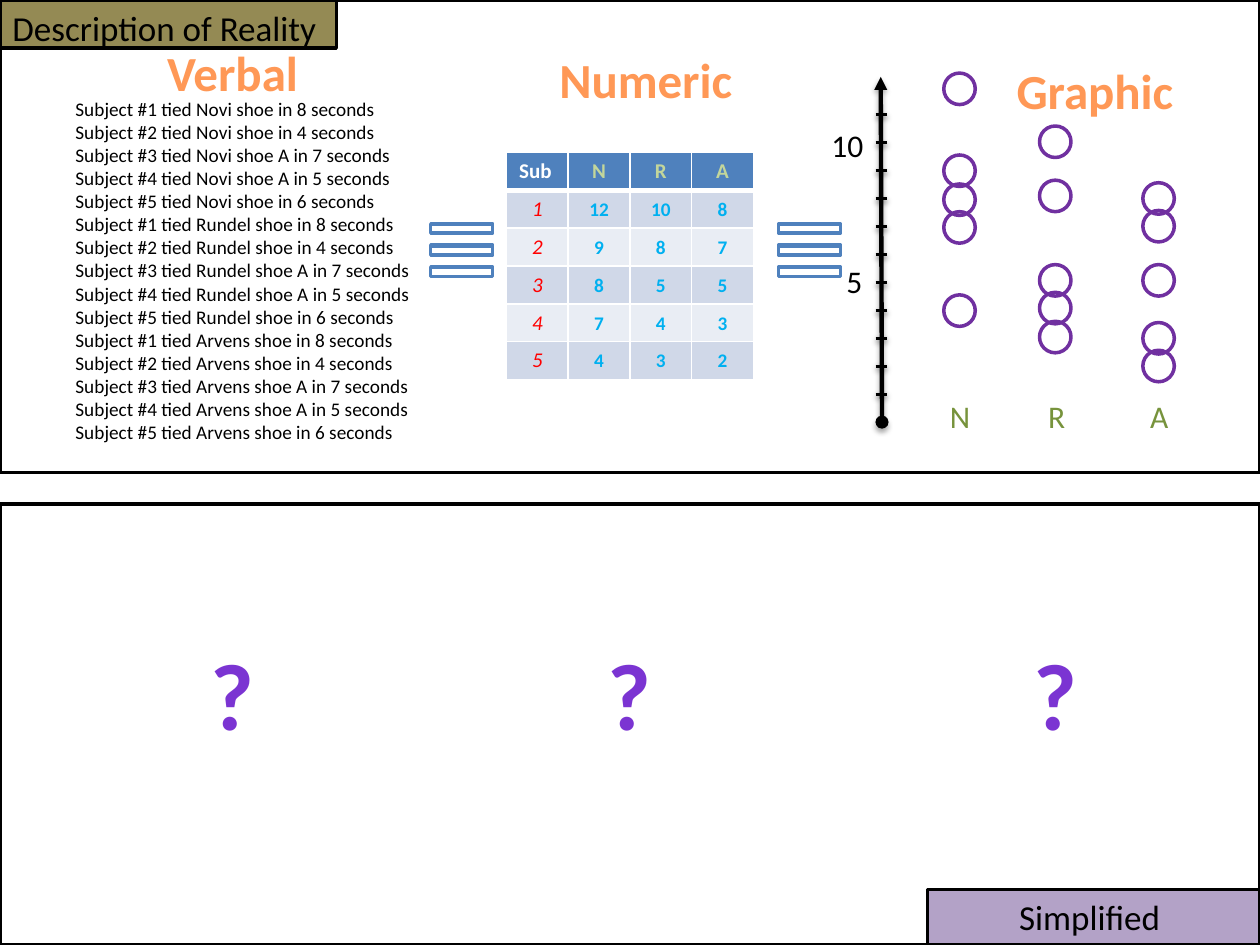
import lxml.etree
import pptx
import pptx.dml.color
import pptx.enum.shapes
import pptx.enum.text
import pptx.oxml
import pptx.oxml.ns
import pptx.util

Inches = pptx.util.Inches
Pt = pptx.util.Pt
RGBColor = pptx.dml.color.RGBColor
SHAPE = pptx.enum.shapes.MSO_SHAPE
CENTER = pptx.enum.text.PP_ALIGN.CENTER
MIDDLE = pptx.enum.text.MSO_ANCHOR.MIDDLE
GROW = pptx.enum.text.MSO_AUTO_SIZE.SHAPE_TO_FIT_TEXT
qn = pptx.oxml.ns.qn
NS = 'xmlns:a="http://schemas.openxmlformats.org/drawingml/2006/main"'

BLACK = RGBColor(0x00, 0x00, 0x00)
WHITE = RGBColor(0xFF, 0xFF, 0xFF)
OLIVE = RGBColor(0x94, 0x8A, 0x54)
LAVENDER = RGBColor(0xB3, 0xA2, 0xC7)
BLUE = RGBColor(0x4F, 0x81, 0xBD)
BAND_DARK = RGBColor(0xD0, 0xD8, 0xE8)
BAND_LIGHT = RGBColor(0xE9, 0xED, 0xF4)
PALE_GREEN = RGBColor(0xC3, 0xD6, 0x9B)
GREEN = RGBColor(0x77, 0x93, 0x3C)
RED = RGBColor(0xFF, 0x00, 0x00)
SKY = RGBColor(0x00, 0xB0, 0xF0)
PURPLE = RGBColor(0x70, 0x30, 0xA0)
OUTLINE = RGBColor(0x5E, 0x45, 0x7C)
ORANGE_STOPS = [(0, RGBColor(0x9D, 0x47, 0x00)), (78, RGBColor(0xFF, 0x98, 0x56)),
                (100, RGBColor(0xFF, 0xF5, 0xF1))]
VIOLET_STOPS = [(0, RGBColor(0x3D, 0x1B, 0x67)), (43, RGBColor(0x7B, 0x34, 0xD2)),
                (48, RGBColor(0x73, 0x30, 0xC4)), (100, RGBColor(0x3D, 0x1B, 0x67))]


def write(frame, text, size=12, color=BLACK, bold=False, italic=False, align=None,
          wrap=True, stops=None, outline=None, tabs=()):
    frame.word_wrap = wrap
    for index, line in enumerate(text.split("\n")):
        paragraph = frame.add_paragraph() if index else frame.paragraphs[0]
        paragraph.alignment = align
        if tabs:
            tab_list = lxml.etree.SubElement(paragraph._p.get_or_add_pPr(), qn("a:tabLst"))
            for tab in tabs:
                lxml.etree.SubElement(tab_list, qn("a:tab"), pos=str(Inches(tab)), algn="l")
        run = paragraph.add_run()
        run.text = line
        font = run.font
        font.name, font.size, font.bold, font.italic = "Calibri", Pt(size), bold, italic
        if stops:
            marks = "".join(f'<a:gs pos="{at * 1000}"><a:srgbClr val="{shade}"/></a:gs>'
                            for at, shade in stops)
            font._element.insert(0, pptx.oxml.parse_xml(
                f'<a:gradFill {NS}><a:gsLst>{marks}</a:gsLst><a:lin ang="5400000"/></a:gradFill>'))
        else:
            font.color.rgb = color
        if outline:
            font._element.insert(0, pptx.oxml.parse_xml(
                f'<a:ln {NS} w="{Pt(0.71)}"><a:solidFill><a:srgbClr val="{outline}"/>'
                '</a:solidFill></a:ln>'))


def add_shape(kind, left, top, width, height, line, fill=None):
    shape = slide.shapes.add_shape(kind, Inches(left), Inches(top), Inches(width), Inches(height))
    shape.shadow.inherit = False
    shape.line.color.rgb = line
    shape.line.width = Pt(2)
    if fill is None:
        shape.fill.background()
    else:
        shape.fill.solid()
        shape.fill.fore_color.rgb = fill
    shape.text_frame.vertical_anchor = pptx.enum.text.MSO_ANCHOR.TOP
    return shape


presentation = pptx.Presentation()
presentation.slide_width = Inches(10)
presentation.slide_height = Inches(7.5)
slide = presentation.slides.add_slide(presentation.slide_layouts[6])

reality_tag = add_shape(SHAPE.RECTANGLE, 0, 0, 2.67, 0.38, BLACK, OLIVE)
write(reality_tag.text_frame, "Description of Reality", size=20,
      align=pptx.enum.text.PP_ALIGN.LEFT)
add_shape(SHAPE.RECTANGLE, 0, 0, 10, 3.75, BLACK)
simplified_tag = add_shape(SHAPE.RECTANGLE, 7.36, 7.06, 2.64, 0.44, BLACK, LAVENDER)
write(simplified_tag.text_frame, "Simplified ", size=20, align=CENTER)
add_shape(SHAPE.RECTANGLE, 0, 4, 10, 3.5, BLACK)

sentences = "\n".join(
    f"Subject #{subject} tied {brand} shoe {detail} seconds"
    for brand in ("Novi", "Rundel", "Arvens")
    for subject, detail in enumerate(("in 8", "in 4", "A in 7", "A in 5", "in 6"), 1))

heading = dict(size=28, bold=True, align=CENTER, wrap=False, stops=ORANGE_STOPS)
question = dict(size=54, bold=True, align=CENTER, wrap=False, stops=VIOLET_STOPS, outline=OUTLINE)
scale = dict(size=18, wrap=False)
for left, top, width, height, text, style in (
        (1.22, 0.29, 1.25, 0.57, "Verbal", heading),
        (4.33, 0.34, 1.59, 0.57, "Numeric", heading),
        (7.96, 0.43, 1.46, 0.57, "Graphic", heading),
        (0.5, 0.72, 3.08, 3.25, sentences, dict(size=11)),
        (1.57, 5, 0.55, 1.01, "?", question),
        (4.72, 5, 0.55, 1.01, "?", question),
        (8.1, 5, 0.55, 1.01, "?", question),
        (6.62, 2.03, 0.33, 0.4, "5", scale),
        (6.5, 0.95, 0.46, 0.4, "10", scale),
        (7.44, 3.1, 2.06, 0.4, "N\tR\tA", dict(size=18, color=GREEN, tabs=(0.78, 1.59)))):
    box = slide.shapes.add_textbox(Inches(left), Inches(top), Inches(width), Inches(height))
    write(box.text_frame, text, **style)
    box.text_frame.auto_size = GROW

times = [("Sub", "N", "R", "A"), (1, 12, 10, 8), (2, 9, 8, 7),
         (3, 8, 5, 5), (4, 7, 4, 3), (5, 4, 3, 2)]
table = slide.shapes.add_table(6, 4, Inches(4.02), Inches(1.21), Inches(1.96), Inches(1.8)).table
for row, values in enumerate(times):
    for column, value in enumerate(values):
        cell = table.cell(row, column)
        for side in "LRTB":
            width = Pt(3 if row == 0 and side == "B" else 1)
            cell._tc.get_or_add_tcPr().append(pptx.oxml.parse_xml(
                f'<a:ln{side} {NS} w="{width}"><a:solidFill><a:srgbClr val="{WHITE}"/>'
                f'</a:solidFill></a:ln{side}>'))
        cell.fill.solid()
        cell.fill.fore_color.rgb = BLUE if row == 0 else BAND_DARK if row % 2 else BAND_LIGHT
        if row == 0:
            style = dict(color=PALE_GREEN if column else WHITE, bold=True)
        elif column == 0:
            style = dict(color=RED, italic=True)
        else:
            style = dict(size=11, color=SKY, bold=True)
            cell.vertical_anchor = MIDDLE
            cell.margin_left = cell.margin_top = cell.margin_right = Inches(0.01)
            cell.margin_bottom = 0
        write(cell.text_frame, str(value), align=CENTER if row or column else None, **style)

for left in (3.33, 6.09):
    for top in (1.86, 1.69):
        equals = add_shape(SHAPE.MATH_EQUAL, left, top, 0.67, 0.42, BLUE, WHITE)
        equals.adjustments[0] = 0.173
        equals.adjustments[1] = 0.243

ticks = [(6.95, 3.13 - 0.222 * step, 7.04, 3.13 - 0.222 * step, 2, 38, 1.6) for step in range(11)]
for x1, y1, x2, y2, weight, alpha, distance in [(7, 3.35, 6.99, 0.61, 2.5, 35, 1.8)] + ticks:
    stroke = slide.shapes.add_connector(pptx.enum.shapes.MSO_CONNECTOR.STRAIGHT,
                                        Inches(x1), Inches(y1), Inches(x2), Inches(y2))
    stroke.line.color.rgb = BLACK
    stroke.line.width = Pt(weight)
    if y1 != y2:
        ends = stroke.line._get_or_add_ln()
        lxml.etree.SubElement(ends, qn("a:headEnd"), type="oval")
        lxml.etree.SubElement(ends, qn("a:tailEnd"), type="triangle")
    stroke._element.spPr.append(pptx.oxml.parse_xml(
        f'<a:effectLst {NS}><a:outerShdw blurRad="{Pt(3.1)}" dist="{Pt(distance)}" dir="5400000" '
        f'rotWithShape="0"><a:srgbClr val="{BLACK}"><a:alpha val="{alpha * 1000}"/></a:srgbClr>'
        '</a:outerShdw></a:effectLst>'))

for left, tops in ((7.49, (2.34, 1.46, 1.23, 1.68, 0.58)),
                   (8.25, (2.55, 2.32, 1.43, 1, 2.1)),
                   (9.07, (2.1, 1.45, 2.56, 1.67, 2.78))):
    for top in tops:
        add_shape(SHAPE.OVAL, left, top, 0.25, 0.25, PURPLE)

presentation.save("out.pptx")
